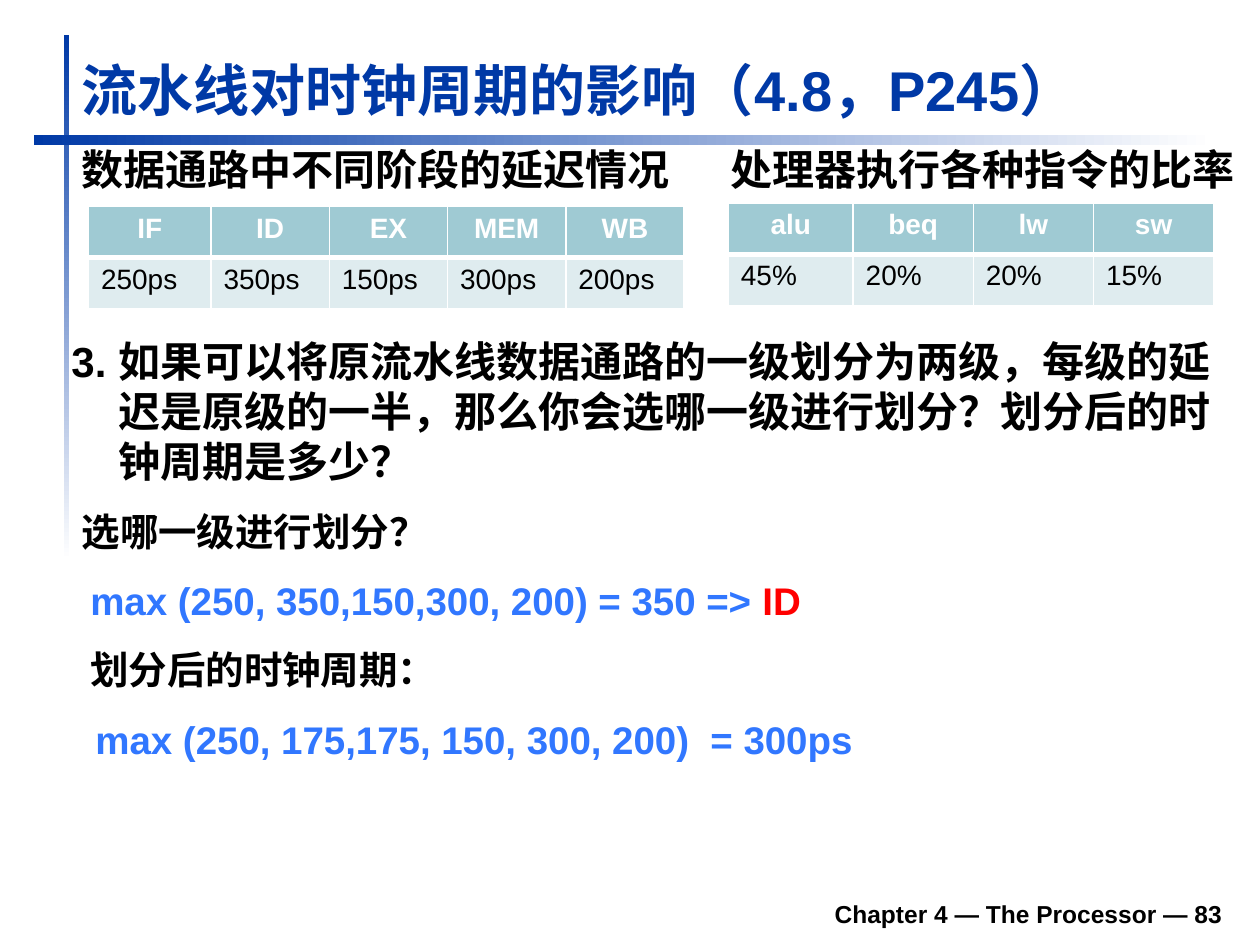
from dataclasses import dataclass

from lxml import etree
from pptx import Presentation
from pptx.dml.color import RGBColor
from pptx.enum.shapes import MSO_SHAPE
from pptx.enum.text import MSO_ANCHOR, PP_ALIGN
from pptx.oxml.ns import qn
from pptx.util import Pt

RECT = MSO_SHAPE.RECTANGLE
TOP, BOTTOM = MSO_ANCHOR.TOP, MSO_ANCHOR.BOTTOM
LEFT, CENTER, RIGHT = PP_ALIGN.LEFT, PP_ALIGN.CENTER, PP_ALIGN.RIGHT

FONT = "Arial"
NAVY, BLUE, RED = "0039A6", "3177FF", "FF0000"
BLACK, WHITE = "000000", "FFFFFF"
HEAD_FILL, BODY_FILL = "9FCAD3", "DFECEF"
HANG = 27
ROW_H = 29.2


@dataclass
class Bar:
    x: float
    y: float
    w: float
    h: float
    angle: float


@dataclass
class Line:
    text: str
    x: float
    y: float
    w: float
    h: float
    size: float = 22
    color: str = BLACK
    tail: str = ""


@dataclass
class Grid:
    x: float
    y: float
    first_w: float
    col_w: float
    rows: list[list[str]]


BARS = [
    Bar(36.7, 20.2, 2.9, 300, 270),
    Bar(19.4, 77, 674.6, 6, 0),
]

LINES = [
    Line("数据通路中不同阶段的延迟情况", 39.6, 78.5, 368, 45.4, 24),
    Line("处理器执行各种指令的比率", 410.4, 78.5, 309.6, 45.4, 24),
    Line("3. 如果可以将原流水线数据通路的一级划分为两级，每级的延迟是原级的一半，"
         "那么你会选哪一级进行划分？划分后的时钟周期是多少？",
         33.8, 187.9, 666.7, 93.6, 24),
    Line("选哪一级进行划分？", 39.6, 286.6, 666.7, 39.6),
    Line("max (250, 350,150,300, 200) = 350 => ", 44.6, 326.2, 666.7, 39.6,
         color=BLUE, tail="ID"),
    Line("划分后的时钟周期：", 44.6, 365.8, 666.7, 39.6),
    Line("max (250, 175,175, 150, 300, 200)  = 300ps", 47.5, 405.4, 666.7, 39.6,
         color=BLUE),
]

GRIDS = [
    Grid(50.6, 118.1, 70, 67.6, [["IF", "ID", "EX", "MEM", "WB"],
                                 ["250ps", "350ps", "150ps", "300ps", "200ps"]]),
    Grid(416.2, 116.2, 71.3, 68.7, [["alu", "beq", "lw", "sw"],
                                    ["45%", "20%", "20%", "15%"]]),
]


def rgb(value: str) -> RGBColor:
    return RGBColor.from_string(value)


def add_run(p, text: str, *, size: float, color: str, bold: bool = True) -> None:
    r = p.add_run()
    r.text = text
    r.font.name = FONT
    r.font.size = Pt(size)
    r.font.bold = bold
    r.font.color.rgb = rgb(color)


def add_text(s, text: str, x: float, y: float, w: float, h: float, *,
             size: float, color: str = BLACK, align=LEFT, anchor=TOP,
             hang: float = 0):
    tf = s.shapes.add_textbox(Pt(x), Pt(y), Pt(w), Pt(h)).text_frame
    tf.word_wrap = True
    tf.vertical_anchor = anchor
    p = tf.paragraphs[0]
    p.alignment = align
    if hang:
        pPr = p._p.get_or_add_pPr()
        pPr.set("marL", str(Pt(hang)))
        pPr.set("indent", str(Pt(-hang)))
    add_run(p, text, size=size, color=color)
    return p


def add_bar(s, bar: Bar) -> None:
    sp = s.shapes.add_shape(RECT, Pt(bar.x), Pt(bar.y), Pt(bar.w), Pt(bar.h))
    sp.shadow.inherit = False
    sp.line.fill.background()
    sp.fill.gradient()
    sp.fill.gradient_angle = bar.angle
    for stop, color, pos in zip(sp.fill.gradient_stops, (NAVY, WHITE), (0, 1)):
        stop.color.rgb = rgb(color)
        stop.position = pos


def set_borders(cell, bottom: float) -> None:
    tcPr = cell._tc.get_or_add_tcPr()
    for i, (tag, width) in enumerate(
            [("a:lnL", 1), ("a:lnR", 1), ("a:lnT", 1), ("a:lnB", bottom)]):
        ln = etree.Element(qn(tag), w=str(Pt(width)))
        fill = etree.SubElement(ln, qn("a:solidFill"))
        etree.SubElement(fill, qn("a:srgbClr"), val=WHITE)
        tcPr.insert(i, ln)


def add_grid(s, grid: Grid) -> None:
    n_rows, n_cols = len(grid.rows), len(grid.rows[0])
    widths = [grid.first_w] + [grid.col_w] * (n_cols - 1)
    table = s.shapes.add_table(n_rows, n_cols, Pt(grid.x), Pt(grid.y),
                               Pt(sum(widths)), Pt(ROW_H * n_rows)).table
    table.horz_banding = False
    for col, width in zip(table.columns, widths):
        col.width = Pt(width)
    for i, row in enumerate(grid.rows):
        head = i == 0
        table.rows[i].height = Pt(ROW_H)
        for j, text in enumerate(row):
            cell = table.cell(i, j)
            cell.fill.solid()
            cell.fill.fore_color.rgb = rgb(HEAD_FILL if head else BODY_FILL)
            set_borders(cell, 3 if head else 1)
            p = cell.text_frame.paragraphs[0]
            p.alignment = CENTER if head else LEFT
            add_run(p, text, size=16, color=WHITE if head else BLACK, bold=head)


def main() -> None:
    prs = Presentation()
    prs.slide_width, prs.slide_height = Pt(720), Pt(540)
    s = prs.slides.add_slide(prs.slide_layouts[6])

    # Gradient rules beside and below the title
    for bar in BARS:
        add_bar(s, bar)

    # Title and footer
    add_text(s, "流水线对时钟周期的影响（4.8，P245）", 39.6, 27.4, 650.2, 46,
             size=32, color=NAVY, anchor=BOTTOM)
    add_text(s, "Chapter 4 — The Processor — 83", 133.2, 506.2, 572.4, 28,
             size=14, align=RIGHT, anchor=BOTTOM)

    # Table headings, question and answers
    for line in LINES:
        p = add_text(s, line.text, line.x, line.y, line.w, line.h,
                     size=line.size, color=line.color, hang=HANG)
        if line.tail:
            add_run(p, line.tail, size=line.size, color=RED)

    # Stage delays and instruction mix
    for grid in GRIDS:
        add_grid(s, grid)

    prs.save("out.pptx")


if __name__ == "__main__":
    main()
